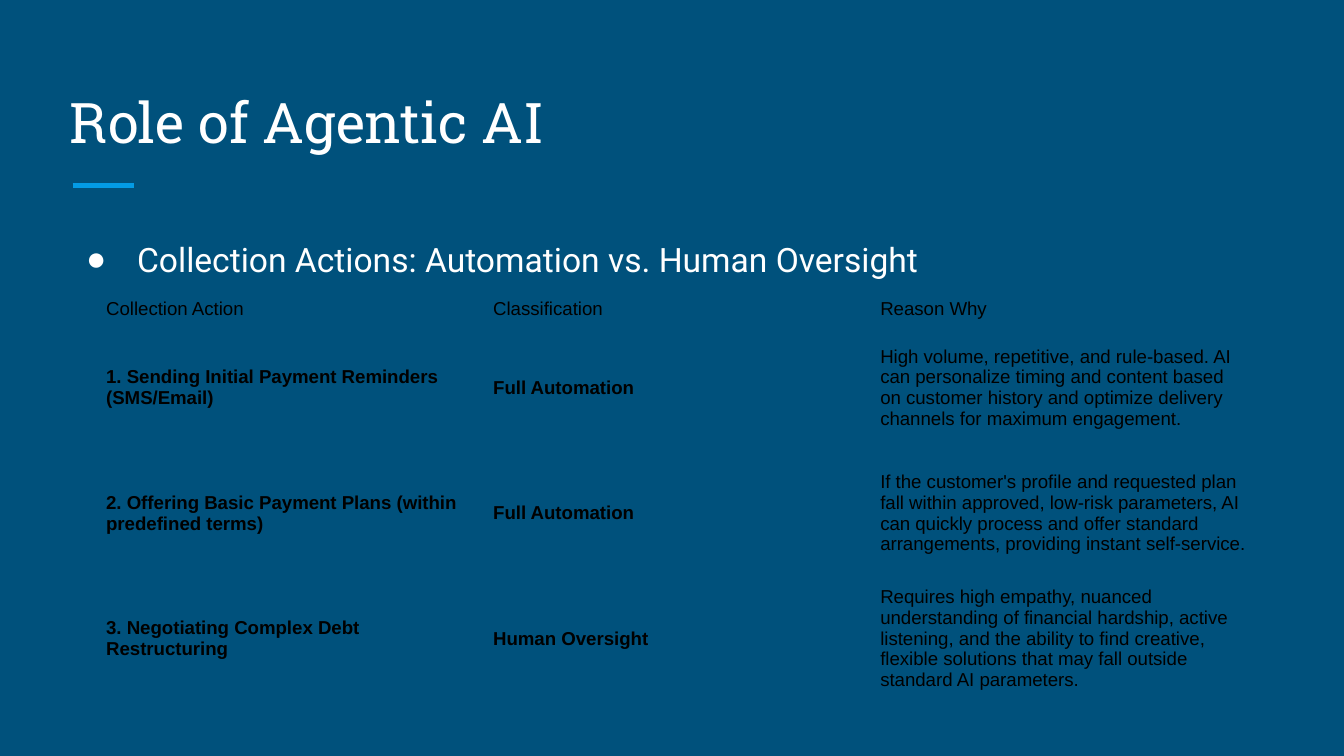
from lxml.etree import SubElement
from pptx import Presentation
from pptx.dml.color import RGBColor
from pptx.enum.shapes import MSO_CONNECTOR
from pptx.enum.text import MSO_ANCHOR, MSO_AUTO_SIZE, PP_ALIGN
from pptx.oxml.ns import qn
from pptx.util import Inches, Pt

WIDTH = 10
HEIGHT = WIDTH * 9 / 16
MARGIN, CONTENT_WIDTH = 0.42, 9.15
TABLE_LEFT, TABLE_TOP, TABLE_HEIGHT = 0.72, 2.18, 3.04
COLUMN_WIDTH, HEADER_HEIGHT = 2.88, 0.24

COLORS = {
    "background": "00517C",
    "accent": "039BE5",
    "light": "FFFFFF",
    "dark": "000000",
}

ACTIONS = [
    ("Collection Action", "Classification", "Reason Why"),
    ("1. Sending Initial Payment Reminders (SMS/Email)", "Full Automation",
     "High volume, repetitive, and rule-based. AI can personalize timing and "
     "content based on customer history and optimize delivery channels for "
     "maximum engagement."),
    ("2. Offering Basic Payment Plans (within predefined terms)", "Full Automation",
     "If the customer's profile and requested plan fall within approved, "
     "low-risk parameters, AI can quickly process and offer standard "
     "arrangements, providing instant self-service."),
    ("3. Negotiating Complex Debt Restructuring", "Human Oversight",
     "Requires high empathy, nuanced understanding of financial hardship, "
     "active listening, and the ability to find creative, flexible solutions "
     "that may fall outside standard AI parameters."),
]


def color(name):
    return RGBColor.from_string(COLORS[name])


def style_text(paragraph, font_name, size, color_name, bold=False):
    paragraph.alignment = PP_ALIGN.LEFT
    for run in paragraph.runs:
        run.font.name = font_name
        run.font.size = Pt(size)
        run.font.bold = bold
        run.font.color.rgb = color(color_name)


def fill_placeholder(placeholder, text, top, height, anchor):
    """Place a full-width placeholder and return its only paragraph."""
    placeholder.left, placeholder.top = Inches(MARGIN), Inches(top)
    placeholder.width, placeholder.height = Inches(CONTENT_WIDTH), Inches(height)
    frame = placeholder.text_frame
    frame.text = text
    frame.word_wrap = True
    frame.auto_size = MSO_AUTO_SIZE.NONE
    frame.vertical_anchor = anchor
    frame.margin_left = frame.margin_right = Inches(0.1)
    frame.margin_top = frame.margin_bottom = Inches(0.1)
    paragraph = frame.paragraphs[0]
    paragraph.space_before = Pt(0)
    return paragraph


def add_bullet(paragraph, color_name):
    properties = paragraph._p.get_or_add_pPr()
    properties.set("marL", str(Inches(0.5)))
    properties.set("indent", str(Inches(-0.38)))
    bullet_color = SubElement(properties, qn("a:buClr"))
    SubElement(bullet_color, qn("a:srgbClr"), val=COLORS[color_name])
    SubElement(properties, qn("a:buFont"), typeface="Arial")
    SubElement(properties, qn("a:buChar"), char="●")


def add_rule(slide, left, right, y):
    rule = slide.shapes.add_connector(
        MSO_CONNECTOR.STRAIGHT, Inches(left), Inches(y), Inches(right), Inches(y))
    rule.line.color.rgb = color("accent")
    rule.line.width = Pt(3)
    SubElement(rule._element.spPr, qn("a:effectLst"))


def format_cell(cell, text, bold):
    cell.text = text
    cell.vertical_anchor = MSO_ANCHOR.MIDDLE
    cell.margin_left = cell.margin_right = Inches(0.07)
    cell.margin_top = cell.margin_bottom = Inches(0.03)
    style_text(cell.text_frame.paragraphs[0], "Arial", 10, "dark", bold)
    # Invisible borders come before the fill in the cell properties
    properties = cell._tc.get_or_add_tcPr()
    for side in ("lnL", "lnR", "lnT", "lnB"):
        border = SubElement(properties, qn(f"a:{side}"), w="0")
        SubElement(border, qn("a:noFill"))
    cell.fill.background()


def add_action_table(slide):
    row_count, column_count = len(ACTIONS), len(ACTIONS[0])
    row_height = (TABLE_HEIGHT - HEADER_HEIGHT) / (row_count - 1)
    table = slide.shapes.add_table(
        row_count, column_count, Inches(TABLE_LEFT), Inches(TABLE_TOP),
        Inches(column_count * COLUMN_WIDTH), Inches(TABLE_HEIGHT)).table
    table.first_row = table.horz_banding = False
    for column in table.columns:
        column.width = Inches(COLUMN_WIDTH)
    for row_index, texts in enumerate(ACTIONS):
        is_header = row_index == 0
        table.rows[row_index].height = Inches(HEADER_HEIGHT if is_header else row_height)
        for column_index, text in enumerate(texts):
            is_reason = column_index == column_count - 1
            format_cell(table.cell(row_index, column_index), text,
                        bold=not (is_header or is_reason))


def main():
    presentation = Presentation()
    presentation.slide_width, presentation.slide_height = Inches(WIDTH), Inches(HEIGHT)
    slide = presentation.slides.add_slide(presentation.slide_layouts[1])
    slide.background.fill.solid()
    slide.background.fill.fore_color.rgb = color("background")

    # Title with its accent rule
    title = fill_placeholder(slide.shapes.title, "Role of Agentic AI",
                             0.5, 0.75, MSO_ANCHOR.BOTTOM)
    style_text(title, "Roboto Slab", 30, "light")
    add_rule(slide, 0.54, 1, 1.38)

    # Bulleted topic
    topic = fill_placeholder(slide.placeholders[1],
                             "Collection Actions: Automation vs. Human Oversight",
                             1.63, 3.37, MSO_ANCHOR.TOP)
    topic.line_spacing = 1.15
    style_text(topic, "Roboto", 18, "light")
    add_bullet(topic, "light")

    # Actions and who handles them
    add_action_table(slide)
    presentation.save("out.pptx")


if __name__ == "__main__":
    main()
